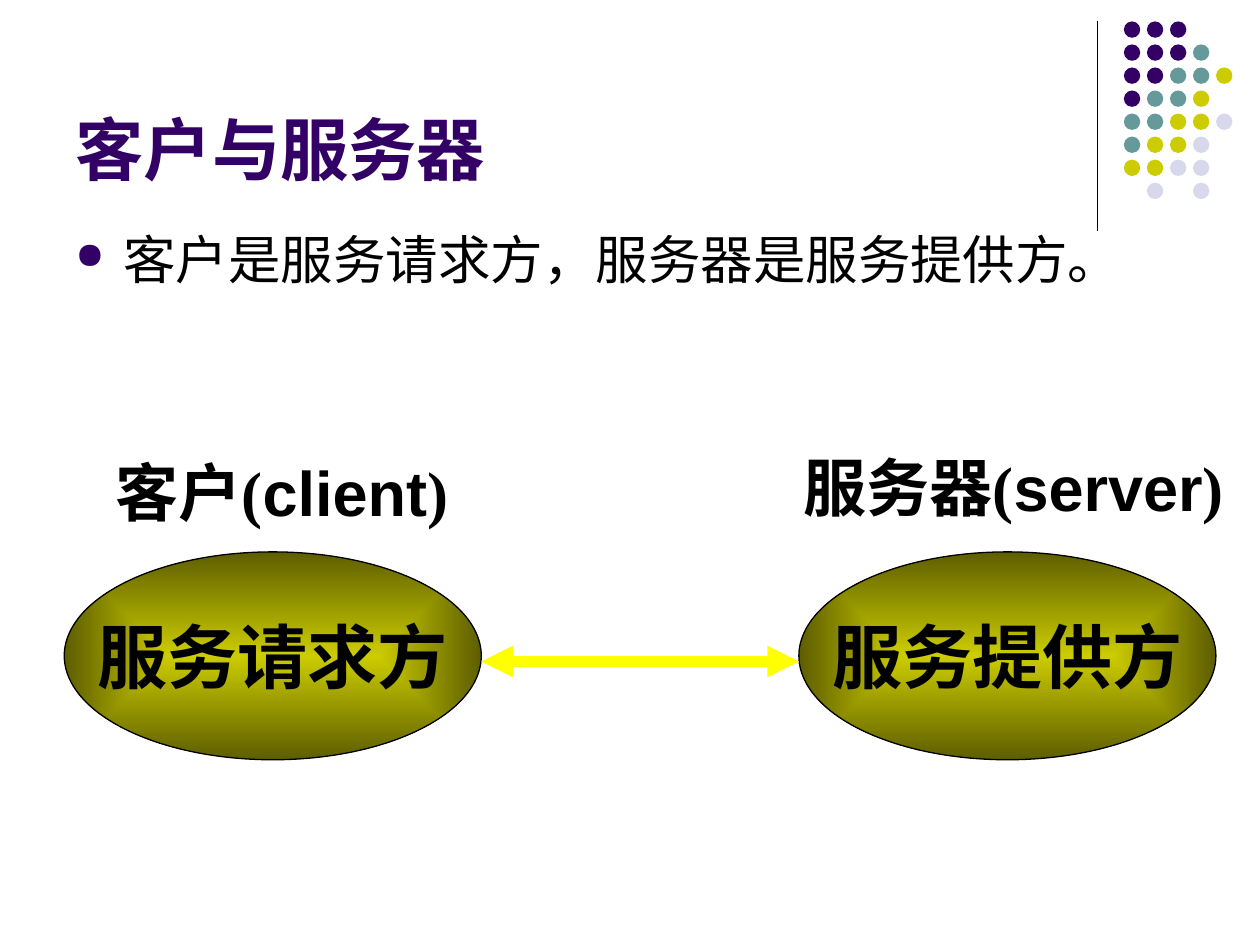
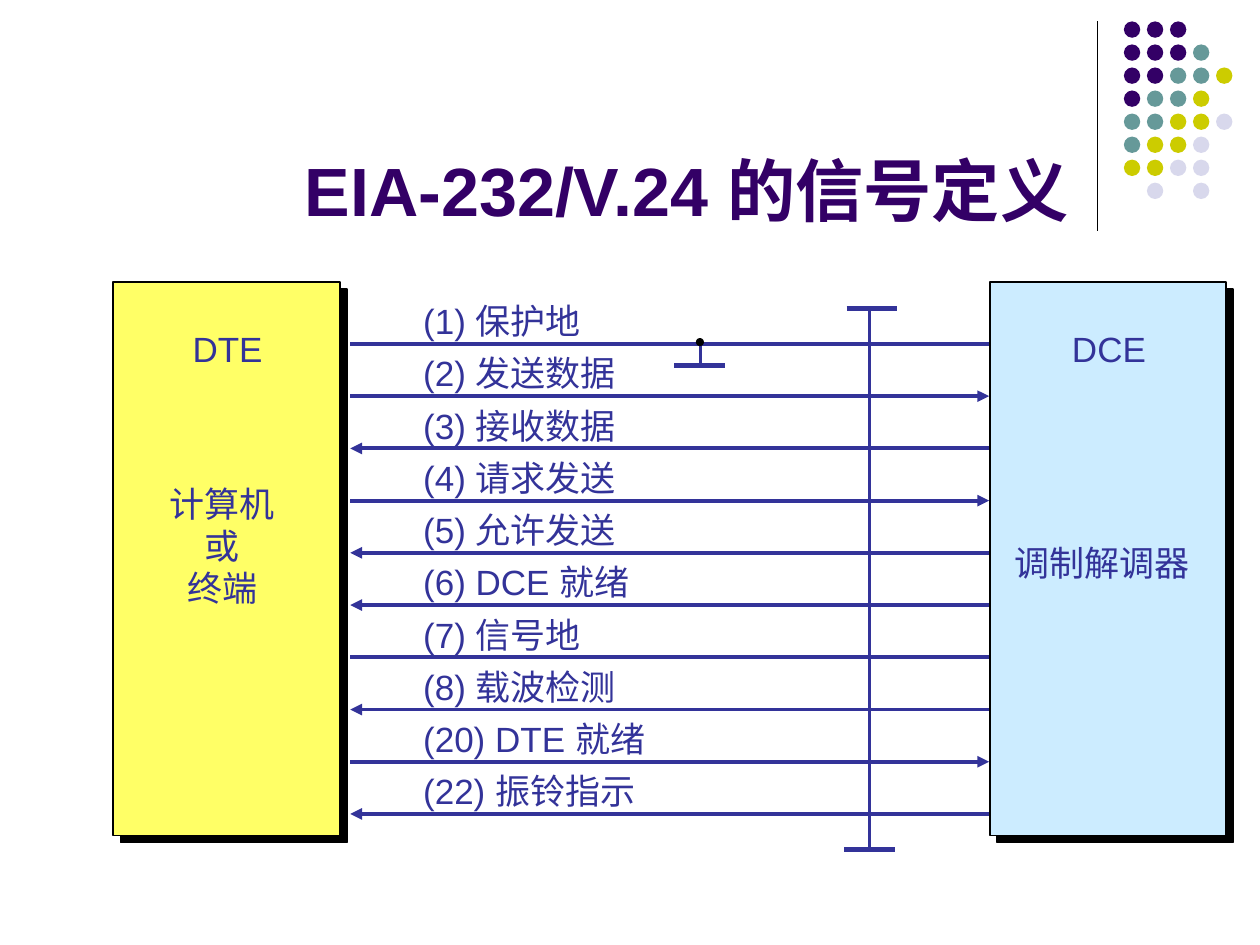
from dataclasses import dataclass

from lxml import etree
from pptx import Presentation
from pptx import util as u
from pptx.dml.color import RGBColor
from pptx.enum import shapes, text
from pptx.oxml import ns

# The slide is a grid of 10 columns by 7.5 rows of square cells
COLUMNS, ROWS = 10, 7.5
CELL = u.Inches(1)


@dataclass(frozen=True)
class Theme:
    sans: str = "Arial"
    serif: str = "Times New Roman"
    ink: str = "000000"
    title: str = "330066"
    teal: str = "669999"
    olive: str = "CCCC00"
    olive_dark: str = "5E5E00"
    mist: str = "D8D8EC"
    arrow: str = "FFFF00"
    signal: str = "333399"
    dte: str = "FFFF66"
    dce: str = "CCECFF"
    title_size: int = 39
    body_size: int = 30
    role_size: int = 40
    caption_size: int = 36
    signal_size: int = 20


THEME = Theme()

# Corner ornament, one letter per dot
DOT_ROWS = ["PPP", "PPPT", "PPTTY", "PTTY", "TTYYL", "TYYL", "YYLL", " L L"]
DOT_COLORS = {"P": THEME.title, "T": THEME.teal, "Y": THEME.olive, "L": THEME.mist}
DOT_PITCH = 1.28 / 7

# Signal label and direction between DTE (left) and DCE (right)
SIGNALS = [
    ("(1) 保护地", ""),
    ("(2) 发送数据", "right"),
    ("(3) 接收数据", "left"),
    ("(4) 请求发送", "right"),
    ("(5) 允许发送", "left"),
    ("(6) DCE 就绪", "left"),
    ("(7) 信号地", ""),
    ("(8) 载波检测", "left"),
    ("(20) DTE 就绪", "right"),
    ("(22) 振铃指示", "left"),
]
SIGNAL_TOP, SIGNAL_BOTTOM = 2.73, 6.46


def cells(*lengths):
    return [round(length * CELL) for length in lengths]


def rgb(color):
    return RGBColor.from_string(color)


def add_xml(parent, tag, **attributes):
    return etree.SubElement(parent, ns.qn(tag), attributes)


def style(font, size, color, name=THEME.sans, bold=False):
    font.name, font.size, font.bold = name, u.Pt(size), bold
    font.color.rgb = rgb(color)


# Element builders
def add_title(slide, title, box, align):
    holder = slide.shapes.title
    holder.left, holder.top, holder.width, holder.height = cells(*box)
    frame = holder.text_frame
    frame.text = title
    frame.auto_size = text.MSO_AUTO_SIZE.NONE
    frame.vertical_anchor = text.MSO_ANCHOR.BOTTOM
    frame.paragraphs[0].alignment = align
    style(frame.paragraphs[0].font, THEME.title_size, THEME.title, bold=True)


def add_text(slide, content, box, size, color, align=text.PP_ALIGN.LEFT):
    frame = slide.shapes.add_textbox(*cells(*box)).text_frame
    frame.word_wrap = True
    frame.text = content
    for paragraph in frame.paragraphs:
        paragraph.alignment = align
        style(paragraph.font, size, color)
    return frame


def add_bullet(slide, content, box):
    frame = add_text(slide, content, box, THEME.body_size, THEME.ink)
    paragraph = frame.paragraphs[0]
    paragraph.space_before = u.Pt(7.5)
    props = paragraph.font._element.getparent()
    hang = u.Inches(0.38)
    props.set("marL", str(hang))
    props.set("indent", str(-hang))
    default_run = props.find(ns.qn("a:defRPr"))
    color = add_xml(props, "a:buClr")
    add_xml(color, "a:srgbClr", val=THEME.title)
    add_xml(props, "a:buSzPct", val="70000")
    add_xml(props, "a:buChar", char="●")
    props.append(default_run)


def add_block(slide, kind, box, fill, line_width=None):
    block = slide.shapes.add_shape(kind, *cells(*box))
    block.shadow.inherit = False
    block.fill.solid()
    block.fill.fore_color.rgb = rgb(fill)
    if line_width is None:
        block.line.fill.background()
    else:
        block.line.color.rgb = rgb(THEME.ink)
        block.line.width = u.Pt(line_width)
    return block


def add_line(slide, start, end, color, width, direction=""):
    line = slide.shapes.add_connector(
        shapes.MSO_CONNECTOR.STRAIGHT, *cells(*start, *end))
    line.line.color.rgb = rgb(color)
    line.line.width = u.Pt(width)
    outline = line.line._get_or_add_ln()
    if direction in ("left", "both"):
        add_xml(outline, "a:headEnd", type="triangle")
    if direction in ("right", "both"):
        add_xml(outline, "a:tailEnd", type="triangle")
    add_xml(line.element.spPr, "a:effectLst")
    return line


def add_role(slide, role, left):
    """Ellipse that darkens from its centre to its edge."""
    ellipse = add_block(slide, shapes.MSO_SHAPE.OVAL, (left, 4.38, 3.31, 1.65),
                        THEME.olive, 0.75)
    ellipse.fill.gradient()
    for stop, color in zip(ellipse.fill.gradient_stops,
                           (THEME.olive, THEME.olive_dark)):
        stop.color.rgb = rgb(color)
    gradient = ellipse.element.spPr.find(ns.qn("a:gradFill"))
    gradient.remove(gradient.find(ns.qn("a:lin")))
    centre = add_xml(gradient, "a:path", path="rect")
    add_xml(centre, "a:fillToRect", l="50000", t="50000", r="50000", b="50000")
    frame = ellipse.text_frame
    frame.word_wrap = False
    frame.vertical_anchor = text.MSO_ANCHOR.MIDDLE
    frame.text = role
    frame.paragraphs[0].alignment = text.PP_ALIGN.CENTER
    style(frame.paragraphs[0].font, THEME.role_size, THEME.ink, THEME.serif, True)


def add_caption(slide, chinese, english, box):
    frame = slide.shapes.add_textbox(*cells(*box)).text_frame
    frame.word_wrap = True
    for words, name in ((chinese + "(", THEME.serif), (english, THEME.sans),
                        (")", THEME.serif)):
        run = frame.paragraphs[0].add_run()
        run.text = words
        style(run.font, THEME.caption_size, THEME.ink, name, True)


def add_device(slide, box, fill):
    """Rectangle with a hard shadow to the lower right."""
    device = add_block(slide, shapes.MSO_SHAPE.RECTANGLE, box, fill, 1)
    effects = device.element.spPr.find(ns.qn("a:effectLst"))
    shadow = add_xml(effects, "a:outerShdw", blurRad="0", dist=str(u.Pt(5.7)),
                     dir=str(45 * 60000), algn="tl", rotWithShape="0")
    add_xml(shadow, "a:srgbClr", val=THEME.ink)


def add_ground_bar(slide, left, y):
    add_line(slide, (left, y), (left + 0.4, y), THEME.signal, 3)


def decorate_layout(layout, slide):
    """Draw the rule and dots, then move them to the shared layout."""
    ornaments = [add_line(slide, (8.71, 0.17), (8.71, 1.83), THEME.ink, 0.75)]
    for row, dots in enumerate(DOT_ROWS):
        for column, letter in enumerate(dots):
            if letter in DOT_COLORS:
                box = (8.92 + column * DOT_PITCH, 0.17 + row * DOT_PITCH, 0.13, 0.13)
                ornaments.append(add_block(slide, shapes.MSO_SHAPE.OVAL, box,
                                           DOT_COLORS[letter]))
    for ornament in ornaments:
        layout.shapes.element.append(ornament.element)


# Slides
def build_client_server(slide):
    add_title(slide, "客户与服务器", (0.5, 0.13, 8.25, 1.42), text.PP_ALIGN.LEFT)
    add_bullet(slide, "客户是服务请求方，服务器是服务提供方。", (0.5, 1.75, 9.5, 4.95))
    add_role(slide, "服务请求方", 0.51)
    add_role(slide, "服务提供方", 6.34)
    add_line(slide, (3.82, 5.25), (6.34, 5.25), THEME.arrow, 6, "both")
    add_caption(slide, "客户", "client", (0.82, 3.55, 3.1, 0.7))
    add_caption(slide, "服务器", "server", (6.28, 3.51, 3.7, 0.7))


def build_signals(slide):
    add_title(slide, "EIA-232/V.24 的信号定义", (1.26, 0.28, 8.38, 1.6),
              text.PP_ALIGN.CENTER)
    add_device(slide, (0.9, 2.24, 1.8, 4.39), THEME.dte)
    add_device(slide, (7.86, 2.24, 1.87, 4.39), THEME.dce)

    # Signal lines with their labels
    pitch = (SIGNAL_BOTTOM - SIGNAL_TOP) / (len(SIGNALS) - 1)
    for row, (label, direction) in enumerate(SIGNALS):
        y = SIGNAL_TOP + row * pitch
        add_line(slide, (2.78, y), (7.85, y), THEME.signal, 2.25, direction)
        add_text(slide, label, (3.26, y - 0.4, 2.05, 0.43),
                 THEME.signal_size, THEME.signal)

    # Protective ground and cable shield
    add_line(slide, (5.56, 2.74), (5.56, 2.89), THEME.signal, 1.5)
    add_ground_bar(slide, 5.35, 2.9)
    add_block(slide, shapes.MSO_SHAPE.OVAL, (5.53, 2.69, 0.05, 0.05), THEME.ink, 1)
    add_ground_bar(slide, 6.7, 6.74)
    add_ground_bar(slide, 6.72, 2.45)
    add_line(slide, (6.9, 2.45), (6.9, 6.73), THEME.signal, 1.5)

    # Device names
    for name, box in (("DTE", (1.43, 2.55, 0.8, 0.43)),
                      ("DCE", (8.41, 2.55, 0.8, 0.43)),
                      ("计算机\n或\n终端", (1.23, 3.78, 1.07, 1.1)),
                      ("调制解调器", (7.95, 4.25, 1.65, 0.43))):
        align = text.PP_ALIGN.CENTER if "\n" in name else text.PP_ALIGN.LEFT
        add_text(slide, name, box, THEME.signal_size, THEME.signal, align)


def main():
    deck = Presentation()
    deck.slide_width, deck.slide_height = cells(COLUMNS, ROWS)
    layout = deck.slide_layouts.get_by_name("Title Only")
    client_server = deck.slides.add_slide(layout)
    decorate_layout(layout, client_server)
    build_client_server(client_server)
    build_signals(deck.slides.add_slide(layout))
    deck.save("out.pptx")


if __name__ == "__main__":
    main()
